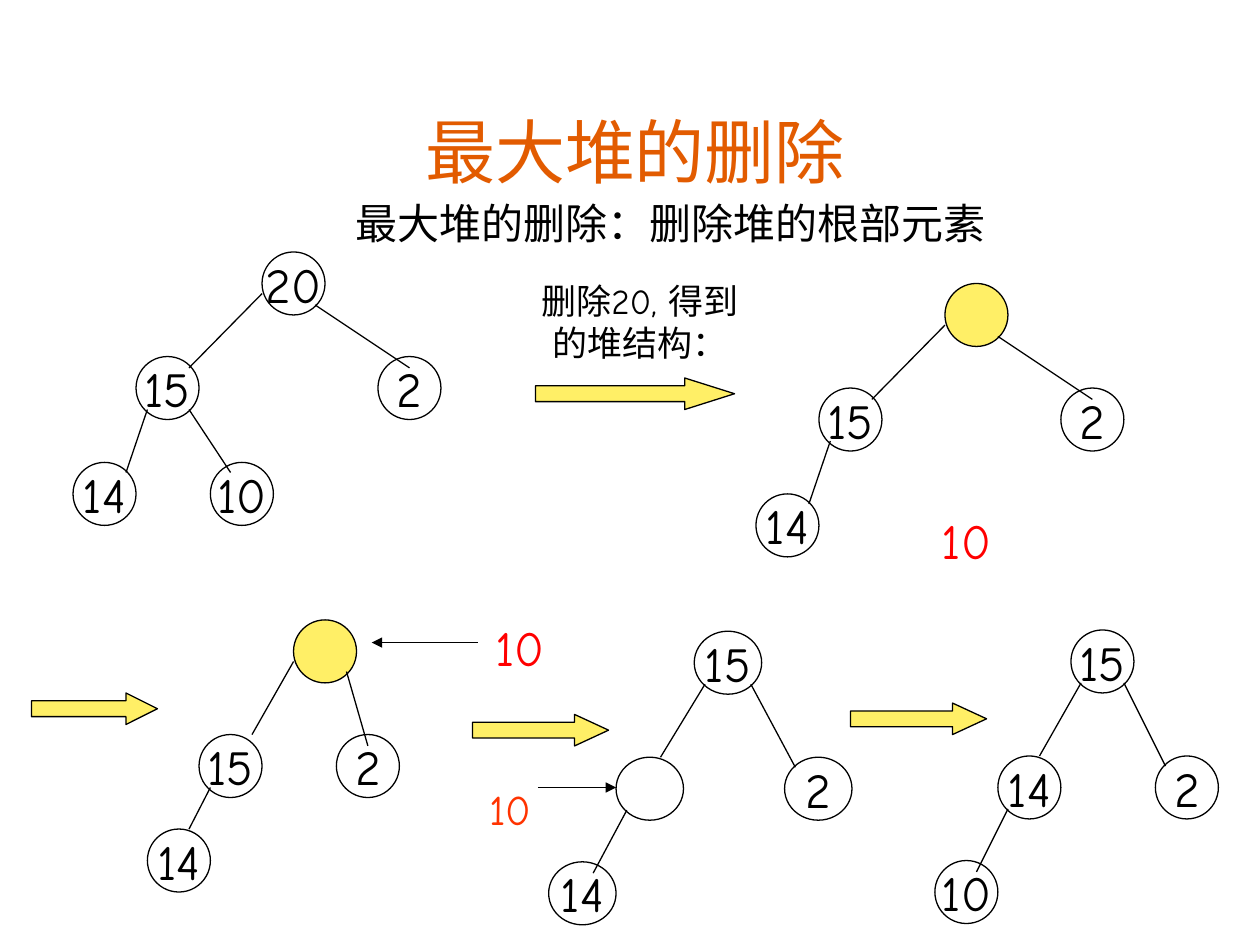
from pptx import Presentation
from pptx import util as u
from pptx.dml.color import RGBColor
from pptx.enum import shapes, text
from pptx.oxml.ns import qn
from lxml import etree

LATIN, CJK = "Comic Neue", "Noto Sans CJK SC"
BLACK, RED, ORANGE_RED, TITLE, YELLOW = "000000", "FF0000", "FF3300", "E25B00", "FFEF66"
NODE = 0.5

# Each slot: node offset from the root, then the edge's start and end.
ROOT = ((0, 0), None, None)
WIDE = [
    ROOT,
    ((-1, 0.83), (0, 0.33), (-0.58, 0.92)),
    ((-1.5, 1.67), (-0.91, 1.25), (-1.08, 1.75)),
    ((0.92, 0.83), (0.42, 0.42), (1.17, 0.92)),
    ((-0.41, 1.67), (-0.58, 1.25), (-0.25, 1.75)),
]
NARROW = [
    ROOT,
    ((-0.75, 0.91), (0, 0.33), (-0.33, 0.91)),
    ((-1.16, 1.66), (-0.66, 1.33), (-0.83, 1.66)),
    ((0.34, 0.91), (0.42, 0.41), (0.59, 1)),
]
MEDIUM = [
    ROOT,
    ((-0.58, 1), (0.08, 0.42), (-0.25, 1)),
    ((-1.08, 1.83), (-0.5, 1.42), (-0.75, 1.92)),
    ((0.67, 1), (0.42, 0.42), (0.75, 1.08)),
]


def color(value):
    return RGBColor.from_string(value)


class HeapSlide:
    def __init__(self, slide):
        self.slide = slide
        self.items = slide.shapes

    def add_words(self, frame, words, size, ink=BLACK, latin=LATIN):
        paragraph = frame.paragraphs[0]
        paragraph.alignment = text.PP_ALIGN.CENTER
        run = paragraph.add_run()
        run.text = words
        run.font.size = u.Pt(size)
        run.font.name = latin
        run.font.color.rgb = color(ink)
        east_asian = etree.SubElement(run.font._element, qn("a:ea"))
        east_asian.set("typeface", CJK)

    def title(self, words, x, y, w, h):
        heading = self.items.title
        heading.left, heading.top = u.Inches(x), u.Inches(y)
        heading.width, heading.height = u.Inches(w), u.Inches(h)
        frame = heading.text_frame
        frame.auto_size = text.MSO_AUTO_SIZE.NONE
        frame.vertical_anchor = text.MSO_ANCHOR.BOTTOM
        self.add_words(frame, words, 40, TITLE, CJK)

    def label(self, words, x, y, w, h, size, ink=BLACK):
        box = self.items.add_textbox(u.Inches(x), u.Inches(y), u.Inches(w), u.Inches(h))
        box.text_frame.word_wrap = True
        self.add_words(box.text_frame, words, size, ink)

    def outlined(self, kind, x, y, w, h, fill=None):
        shape = self.items.add_shape(kind, u.Inches(x), u.Inches(y), u.Inches(w), u.Inches(h))
        shape.shadow.inherit = False
        if fill:
            shape.fill.solid()
            shape.fill.fore_color.rgb = color(fill)
        else:
            shape.fill.background()
        shape.line.color.rgb = color(BLACK)
        shape.line.width = u.Pt(0.75)
        return shape

    def node(self, value, x, y, w, fill=None):
        circle = self.outlined(shapes.MSO_SHAPE.FLOWCHART_CONNECTOR, x, y, w, NODE, fill)
        frame = circle.text_frame
        frame.word_wrap = False
        frame.vertical_anchor = text.MSO_ANCHOR.MIDDLE
        if value:
            self.add_words(frame, value, 28)

    def step_arrow(self, x, y, w):
        """Block arrow whose head takes a quarter of its width."""
        height = 0.25
        arrow = self.outlined(shapes.MSO_SHAPE.RIGHT_ARROW, x, y, w, height, YELLOW)
        arrow.adjustments[0] = 0.5
        arrow.adjustments[1] = w / 4 / height

    def line(self, start, end, arrowhead=False):
        edge = self.items.add_connector(
            shapes.MSO_CONNECTOR.STRAIGHT, *(u.Inches(v) for v in (*start, *end)))
        edge.line.color.rgb = color(BLACK)
        edge.line.width = u.Pt(0.75)
        if arrowhead:
            outline = edge._element.spPr.find(qn("a:ln"))
            etree.SubElement(outline, qn("a:tailEnd")).set("type", "triangle")
        etree.SubElement(edge._element.spPr, qn("a:effectLst"))

    def tree(self, root, layout, values, root_fill=None, stretch=1):
        """Draw one heap; stretch widens it horizontally, nodes included."""
        def place(offset):
            return root[0] + offset[0] * stretch, root[1] + offset[1]

        slots = list(zip(layout, values))
        for (offset, start, _), value in slots:
            self.node(value, *place(offset), NODE * stretch, None if start else root_fill)
        for (_, start, end), _ in slots[1:]:
            self.line(place(start), place(end))


def main():
    deck = Presentation()
    deck.slide_width, deck.slide_height = u.Inches(10), u.Inches(7.5)
    heap = HeapSlide(deck.slides.add_slide(deck.slide_layouts[5]))

    heap.title("最大堆的删除", 0.75, 0.75, 8.58, 0.83)
    heap.label("最大堆的删除：删除堆的根部元素", 1.78, 1.52, 7.08, 0.5, 24)
    heap.label("删除20, 得到的堆结构：", 4.08, 2.17, 2, 0.77, 20)

    heap.tree((2.08, 2), WIDE, ["20", "15", "14", "2", "10"])
    heap.tree((7.5, 2.25), WIDE, ["", "15", "14", "2"], YELLOW)
    heap.tree((2.33, 4.92), NARROW, ["", "15", "14", "2"], YELLOW)
    heap.tree((5.51, 5.01), MEDIUM, ["15", "", "14", "2"], stretch=1.07)
    heap.tree((8.5, 5), MEDIUM, ["15", "14", "10", "2"])

    for x, y, w in [(4.25, 3, 1.58), (0.25, 5.5, 1), (3.75, 5.67, 1.08), (6.75, 5.58, 1.08)]:
        heap.step_arrow(x, y, w)

    heap.label("10", 7.17, 4, 1, 0.57, 28, RED)
    heap.label("10", 3.79, 4.85, 0.67, 0.57, 28, RED)
    heap.line((3.79, 5.1), (2.95, 5.1), arrowhead=True)
    heap.label("10", 3.74, 6.17, 0.62, 0.5, 24, ORANGE_RED)
    heap.line((4.27, 6.25), (4.89, 6.25), arrowhead=True)

    deck.save("out.pptx")


if __name__ == "__main__":
    main()
